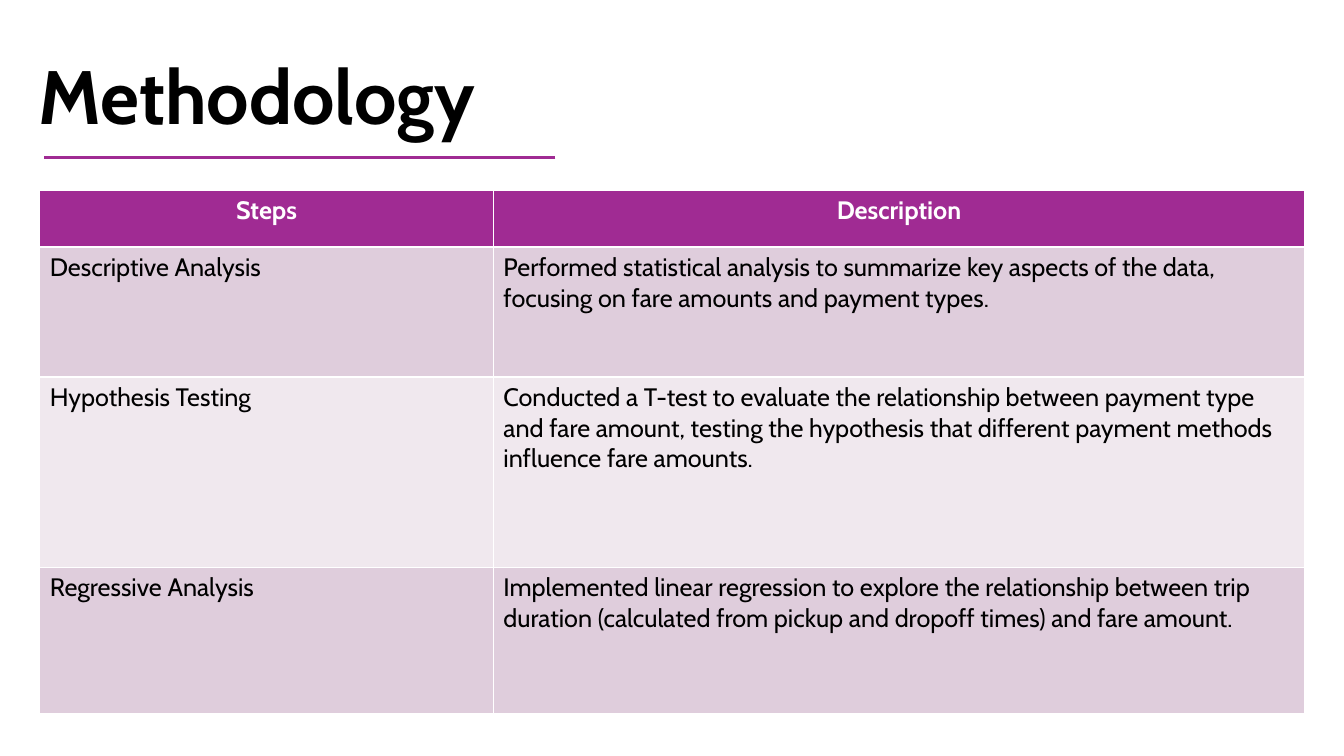
from dataclasses import dataclass

from lxml.etree import SubElement
from pptx import Presentation
from pptx.dml.color import RGBColor
from pptx.enum.shapes import MSO_CONNECTOR
from pptx.enum.text import MSO_ANCHOR, PP_ALIGN
from pptx.oxml.ns import qn
from pptx.slide import Slide
from pptx.table import _Cell
from pptx.text.text import _Paragraph
from pptx.util import Pt

FONT = "Cabin"
COLORS = {
    "accent": "A02B93",
    "band_dark": "DFCDDC",
    "band_light": "F0E8EE",
    "text": "000000",
    "header_text": "FFFFFF",
}
COLUMN_WIDTHS = (324, 579.6)


@dataclass(frozen=True)
class TableRow:
    step: str
    description: str
    height: float
    fill: str
    is_header: bool = False


ROWS = (
    TableRow("Steps", "Description", 40.3, "accent", True),
    TableRow(
        "Descriptive Analysis",
        "Performed statistical analysis to summarize key aspects of the data, "
        "focusing on fare amounts and payment types.",
        92.9,
        "band_dark",
    ),
    TableRow(
        "Hypothesis Testing",
        "Conducted a T-test to evaluate the relationship between payment type "
        "and fare amount, testing the hypothesis that different payment methods "
        "influence fare amounts.",
        136.1,
        "band_light",
    ),
    TableRow(
        "Regressive Analysis",
        "Implemented linear regression to explore the relationship between trip "
        "duration (calculated from pickup and dropoff times) and fare amount.",
        104.4,
        "band_dark",
    ),
)


def color(name: str) -> RGBColor:
    return RGBColor.from_string(COLORS[name])


def style_paragraph(paragraph: _Paragraph, size: float, color_name: str, bold: bool) -> None:
    font = paragraph.font
    font.name = FONT
    font.size = Pt(size)
    font.bold = bold
    font.color.rgb = color(color_name)


def add_title(slide: Slide, title: str) -> None:
    text_frame = slide.shapes.add_textbox(Pt(20.2), Pt(28.8), Pt(874), Pt(85)).text_frame
    text_frame.word_wrap = True
    text_frame.vertical_anchor = MSO_ANCHOR.MIDDLE
    paragraph = text_frame.paragraphs[0]
    paragraph.text = title
    paragraph.line_spacing = 0.9
    style_paragraph(paragraph, 54, "text", True)


def add_underline(slide: Slide) -> None:
    line = slide.shapes.add_connector(
        MSO_CONNECTOR.STRAIGHT, Pt(396.7), Pt(112.3), Pt(31.7), Pt(112.3)
    )
    line.line.color.rgb = color("accent")
    line.line.width = Pt(2)
    SubElement(line._element.spPr, qn("a:effectLst"))


def fill_cell(cell: _Cell, text: str, row: TableRow) -> None:
    cell.fill.solid()
    cell.fill.fore_color.rgb = color(row.fill)
    paragraph = cell.text_frame.paragraphs[0]
    paragraph.text = text
    if row.is_header:
        paragraph.alignment = PP_ALIGN.CENTER
    style_paragraph(paragraph, 18, "header_text" if row.is_header else "text", row.is_header)


def add_steps_table(slide: Slide) -> None:
    table = slide.shapes.add_table(
        len(ROWS),
        len(COLUMN_WIDTHS),
        Pt(28.4),
        Pt(136.1),
        Pt(sum(COLUMN_WIDTHS)),
        Pt(sum(row.height for row in ROWS)),
    ).table
    for column, width in zip(table.columns, COLUMN_WIDTHS):
        column.width = Pt(width)
    for row_index, row in enumerate(ROWS):
        table.rows[row_index].height = Pt(row.height)
        for column_index, text in enumerate((row.step, row.description)):
            fill_cell(table.cell(row_index, column_index), text, row)


def main() -> None:
    presentation = Presentation()
    presentation.slide_width = Pt(960)
    presentation.slide_height = Pt(540)
    slide = presentation.slides.add_slide(presentation.slide_layouts[6])
    add_title(slide, "Methodology")
    add_steps_table(slide)
    add_underline(slide)
    presentation.save("out.pptx")


if __name__ == "__main__":
    main()
